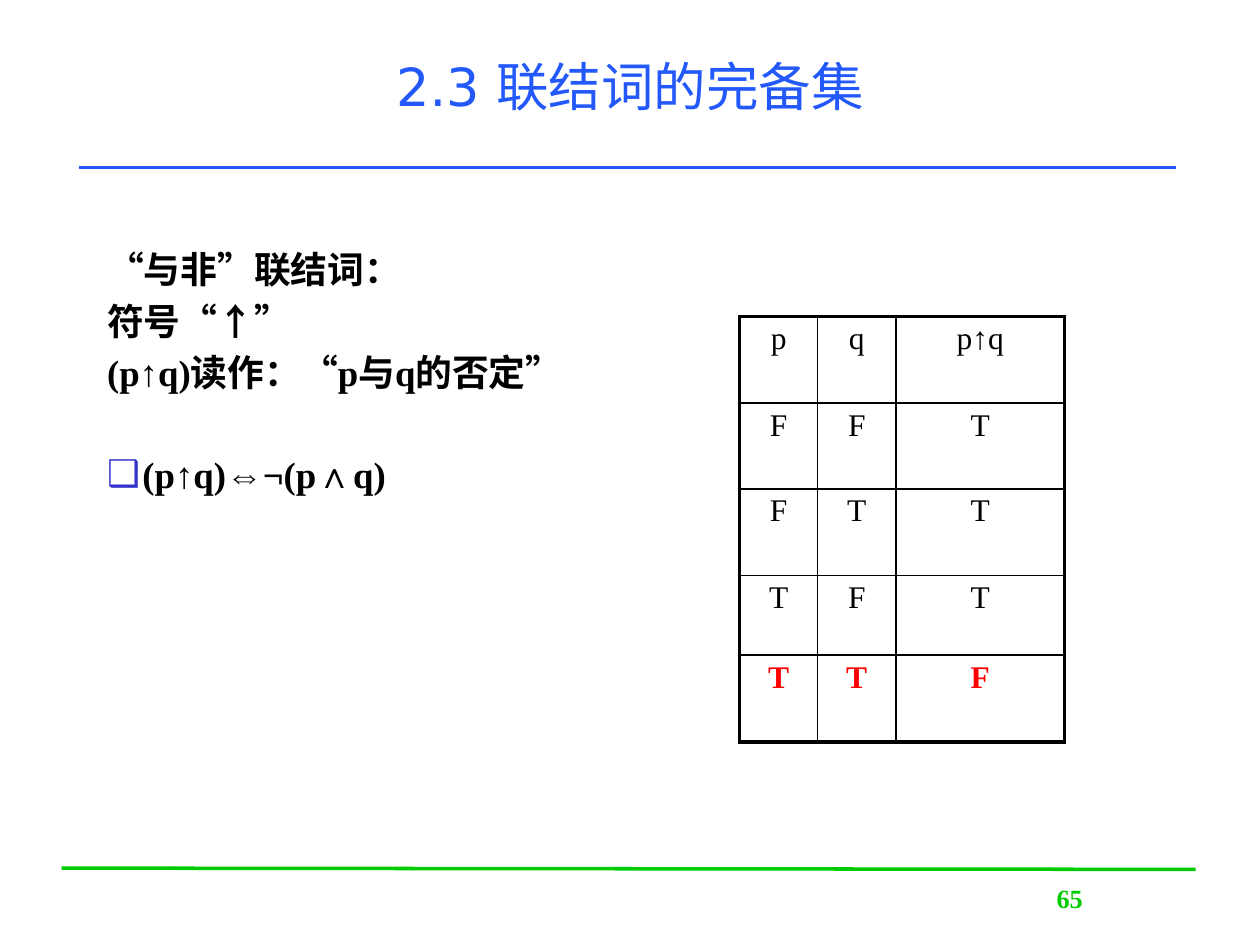
from lxml.etree import SubElement
from pptx import Presentation
from pptx.dml.color import RGBColor
from pptx.enum.shapes import MSO_CONNECTOR
from pptx.enum.text import MSO_ANCHOR, MSO_AUTO_SIZE, PP_ALIGN
from pptx.oxml.ns import qn
from pptx.util import Inches, Pt

BLUE, GREEN, BLACK, RED, BULLET = "2359FB", "00CB00", "000000", "FF0000", "3333CC"
SERIF = "Times New Roman"

presentation = Presentation()
presentation.slide_width, presentation.slide_height = Inches(10), Inches(7.5)
slide = presentation.slides.add_slide(presentation.slide_layouts[1])
step = presentation.slide_width / 100


def grid(*counts):
    """Turn counts of columns or rows (100 x 75 on the slide) into lengths."""
    return [round(count * step) for count in counts]


def format_runs(paragraph, size, colour, bold=False, name=SERIF):
    for run in paragraph.runs:
        run.font.size, run.font.bold, run.font.name = Pt(size), bold, name
        run.font.color.rgb = RGBColor.from_string(colour)


# Rules above the footer and below the title
for ends, colour in (((4.9, 68.9, 94.9, 69), GREEN), ((6.3, 13.3, 93.3, 13.3), BLUE)):
    rule = slide.shapes.add_connector(MSO_CONNECTOR.STRAIGHT, *grid(*ends))
    rule.line.color.rgb = RGBColor.from_string(colour)
    rule.line.width = Pt(2)
    SubElement(rule._element.spPr, qn("a:effectLst"))

# Slide number
number = slide.shapes.add_textbox(*grid(77, 69.5, 15.8, 5))
number.text_frame.word_wrap = True
number.text_frame.text = "65"
paragraph = number.text_frame.paragraphs[0]
paragraph.alignment = PP_ALIGN.CENTER
format_runs(paragraph, 15, GREEN, bold=True)

# Title
title = slide.shapes.title
title.left, title.top, title.width, title.height = grid(7.5, 0.5, 85, 12.5)
title.text_frame.text = "2.3 联结词的完备集"
title.text_frame.vertical_anchor = MSO_ANCHOR.MIDDLE
title.text_frame.auto_size = MSO_AUTO_SIZE.NONE
paragraph = title.text_frame.paragraphs[0]
paragraph.alignment = PP_ALIGN.CENTER
format_runs(paragraph, 30, BLUE, name="DejaVu Sans")

# Definition of the connective: text, space before, bullet
lines = [
    ("“与非”联结词：", 0, None),
    ("符号“↑”", 4.2, None),
    ("(p↑q)读作：“p与q的否定”", 4.2, None),
    ("(p↑q)⇔¬(p∧q)", 33, "❑"),
]
body = slide.placeholders[1]
body.left, body.top, body.width, body.height = grid(7.5, 14.7, 41.7, 53.5)
frame = body.text_frame
frame.auto_size = MSO_AUTO_SIZE.NONE
frame.margin_top = grid(4.9)[0]
frame.text = "\n".join(text for text, _, _ in lines)
for paragraph, (_, space, bullet) in zip(frame.paragraphs, lines):
    paragraph.space_before = Pt(space)
    format_runs(paragraph, 21, BLACK, bold=True)
    properties = paragraph._p.get_or_add_pPr()
    properties.set("marL", str(Inches(0.28)))
    properties.set("indent", str(-Inches(0.28)))
    if bullet:
        bullet_colour = SubElement(properties, qn("a:buClr"))
        SubElement(bullet_colour, qn("a:srgbClr"), val=BULLET)
        SubElement(properties, qn("a:buChar"), char=bullet)
    else:
        SubElement(properties, qn("a:buNone"))

# Truth table
truth_rows = ["p q p↑q", "F F T", "F T T", "T F T", "T T F"]
widths = grid(6.2, 6.2, 13.4)
heights = grid(6.9, 6.8, 6.9, 6.3, 6.9)
last_row, last_column = len(heights) - 1, len(widths) - 1
table = slide.shapes.add_table(
    len(heights), len(widths), *grid(58.7, 25.1), sum(widths), sum(heights)
).table
table.first_row = table.horz_banding = False
for column, width in zip(table.columns, widths):
    column.width = width
for row_index, (row, height) in enumerate(zip(table.rows, heights)):
    row.height = height
    values = truth_rows[row_index].split()
    for column_index, (cell, value) in enumerate(zip(row.cells, values)):
        cell.margin_left = cell.margin_right = Inches(0.07)
        cell.margin_top = cell.margin_bottom = Inches(0.04)
        cell.text_frame.text = value
        paragraph = cell.text_frame.paragraphs[0]
        paragraph.alignment = PP_ALIGN.CENTER
        is_false_case = row_index == last_row
        format_runs(paragraph, 18, RED if is_false_case else BLACK, bold=is_false_case)
        outer_sides = {
            "L": column_index == 0,
            "R": column_index == last_column,
            "T": row_index == 0,
            "B": row_index == last_row,
        }
        cell_properties = cell._tc.get_or_add_tcPr()
        for side, is_outer in outer_sides.items():
            border = SubElement(
                cell_properties, qn(f"a:ln{side}"), w=str(Pt(2.25 if is_outer else 1))
            )
            border_fill = SubElement(border, qn("a:solidFill"))
            SubElement(border_fill, qn("a:srgbClr"), val=BLACK)
        cell.fill.background()

presentation.save("out.pptx")
